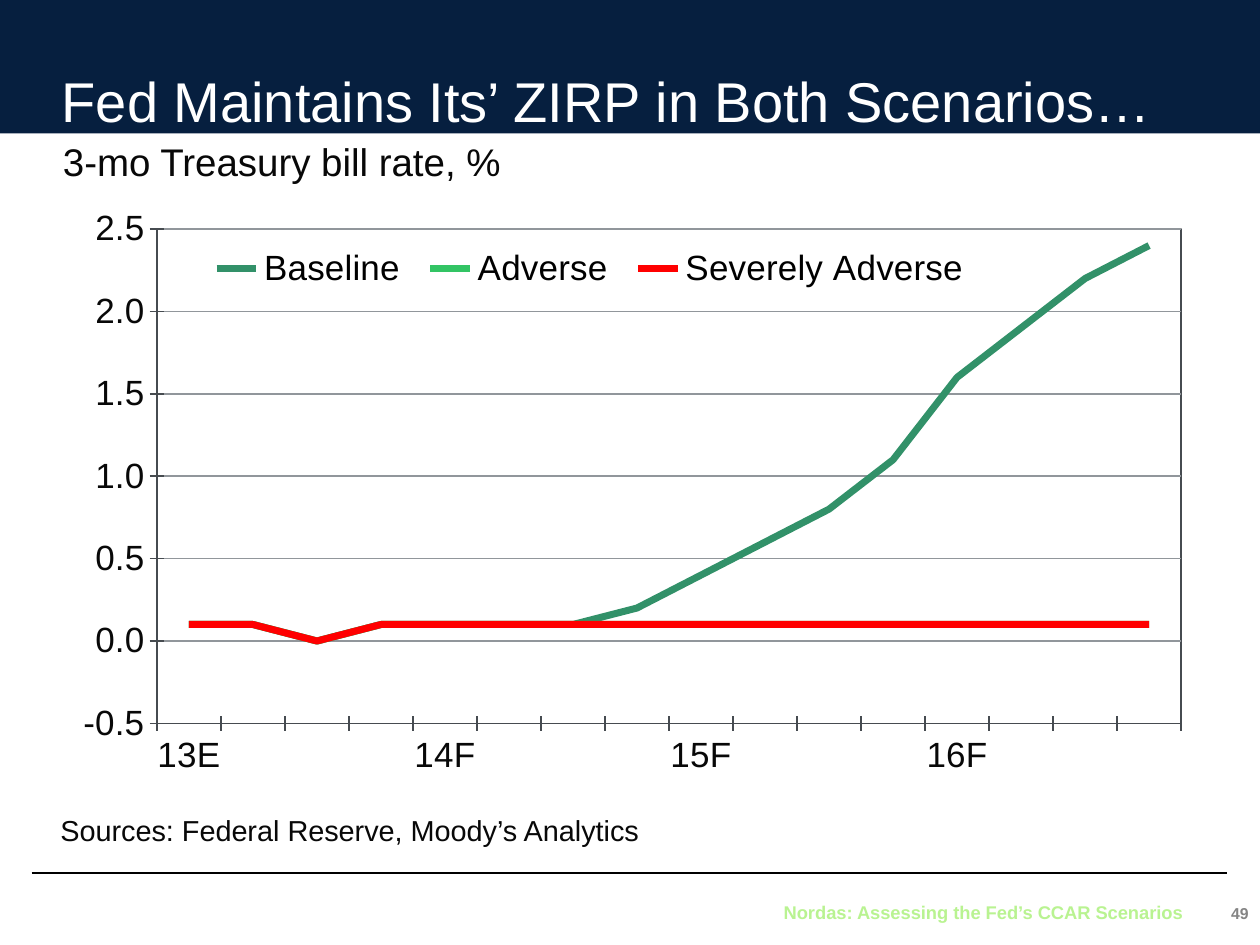
from lxml import etree
from pptx import Presentation
from pptx.chart.data import CategoryChartData
from pptx.dml.color import RGBColor
from pptx.enum.chart import (XL_AXIS_CROSSES, XL_CHART_TYPE, XL_LEGEND_POSITION,
                             XL_TICK_LABEL_POSITION, XL_TICK_MARK)
from pptx.enum.shapes import MSO_CONNECTOR, MSO_SHAPE
from pptx.enum.text import MSO_ANCHOR, PP_ALIGN
from pptx.oxml import parse_xml
from pptx.oxml.ns import nsdecls, qn
from pptx.util import Inches, Pt

TOP, BOTTOM = MSO_ANCHOR.TOP, MSO_ANCHOR.BOTTOM
LEFT, RIGHT = PP_ALIGN.LEFT, PP_ALIGN.RIGHT
CROSS = XL_TICK_MARK.CROSS

FONT = "Arial"
COLORS = {
    "banner": "061F3F", "white": "FFFFFF", "black": "000000", "text": "080808",
    "axis": "464B50", "grid": "91969B", "footer": "B9F391", "number": "848484",
    "baseline": "329169", "adverse": "32C464", "severe": "FF0000",
}
YEARS = ["13E", "14F", "15F", "16F"]
FLAT_RATES = [0.1, 0.1, 0] + [0.1] * 13
SERIES = [
    ("Baseline", "baseline",
     FLAT_RATES[:7] + [0.2, 0.4, 0.6, 0.8, 1.1, 1.6, 1.9, 2.2, 2.4]),
    ("Adverse", "adverse", FLAT_RATES),
    ("Severely Adverse", "severe", FLAT_RATES),
]


def color(name):
    return RGBColor.from_string(COLORS[name])


def format_font(font, size, color_name, bold=False):
    font.name = FONT
    font.size = Pt(size)
    font.bold = bold
    font.color.rgb = color(color_name)


def format_line(line, color_name, width=1):
    line.color.rgb = color(color_name)
    line.width = Pt(width)


def add_text(slide, text, box, size, color_name="text", bold=False,
             align=LEFT, anchor=TOP, spacing=0.9):
    shape = slide.shapes.add_textbox(*map(Inches, box))
    frame = shape.text_frame
    frame.word_wrap = True
    frame.vertical_anchor = anchor
    frame.margin_left = frame.margin_right = 0
    frame.margin_top = frame.margin_bottom = 0
    paragraph = frame.paragraphs[0]
    paragraph.alignment = align
    paragraph.line_spacing = spacing
    run = paragraph.add_run()
    run.text = text
    format_font(run.font, size, color_name, bold)


def add_banner(slide):
    shape = slide.shapes.add_shape(MSO_SHAPE.RECTANGLE, 0, 0, Inches(10), Inches(1.06))
    shape.shadow.inherit = False
    shape.fill.solid()
    shape.fill.fore_color.rgb = color("banner")
    shape.line.fill.background()


def add_rule(slide):
    connector = slide.shapes.add_connector(
        MSO_CONNECTOR.STRAIGHT, Inches(0.25), Inches(6.93), Inches(9.74), Inches(6.93))
    format_line(connector.line, "black")
    etree.SubElement(connector._element.spPr, qn("a:effectLst"))


def set_layout(element, index, x, y, width, height, inner=False):
    """Place a chart part by fractions of the chart's size."""
    for old in element.findall(qn("c:layout")):
        element.remove(old)
    target = '<c:layoutTarget val="inner"/>' if inner else ""
    element.insert(index, parse_xml(
        f'<c:layout {nsdecls("c")}><c:manualLayout>{target}'
        '<c:xMode val="edge"/><c:yMode val="edge"/>'
        f'<c:x val="{x}"/><c:y val="{y}"/><c:w val="{width}"/><c:h val="{height}"/>'
        '</c:manualLayout></c:layout>'))


def format_axis(axis):
    axis.major_tick_mark = CROSS
    axis.minor_tick_mark = XL_TICK_MARK.NONE
    format_line(axis.format.line, "axis")
    format_font(axis.tick_labels.font, 20, "text")


def format_plot_area(chart):
    plot_area = chart._chartSpace.chart.plotArea
    set_layout(plot_area, 0, 0.105, 0.073, 0.875, 0.777, inner=True)
    plot_area.append(parse_xml(
        f'<c:spPr {nsdecls("c", "a")}>'
        f'<a:solidFill><a:srgbClr val="{COLORS["white"]}"/></a:solidFill>'
        f'<a:ln w="{Pt(1)}"><a:solidFill><a:srgbClr val="{COLORS["axis"]}"/>'
        '</a:solidFill></a:ln></c:spPr>'))


def add_rate_chart(slide):
    data = CategoryChartData(number_format="0.00")
    data.categories = [label for year in YEARS for label in (year, "", "", "")]
    for name, _, rates in SERIES:
        data.add_series(name, rates)
    chart = slide.shapes.add_chart(
        XL_CHART_TYPE.LINE, Inches(0.27), Inches(1.45), Inches(9.29), Inches(5.05),
        data).chart
    chart.has_title = False
    format_font(chart.font, 10, "black")

    chart.plots[0].vary_by_categories = False
    for series, (_, color_name, _) in zip(chart.plots[0].series, SERIES):
        series.smooth = False
        format_line(series.format.line, color_name, 4)

    format_axis(chart.category_axis)
    chart.category_axis.tick_label_position = XL_TICK_LABEL_POSITION.LOW
    value_axis = chart.value_axis
    format_axis(value_axis)
    value_axis.minimum_scale, value_axis.maximum_scale = -0.5, 2.5
    value_axis.major_unit = 0.5
    value_axis.crosses = XL_AXIS_CROSSES.MINIMUM
    value_axis.tick_labels.number_format = "#,##0.0"
    value_axis.tick_labels.number_format_is_linked = False
    value_axis.has_major_gridlines = True
    format_line(value_axis.major_gridlines.format.line, "grid")
    format_plot_area(chart)

    chart.has_legend = True
    legend = chart.legend
    legend.position = XL_LEGEND_POSITION.BOTTOM
    legend.include_in_layout = False
    format_font(legend.font, 20, "black")
    set_layout(legend._element, 1, 0.14, 0.09, 0.67, 0.09)


def main():
    presentation = Presentation()
    presentation.slide_width = Inches(10)
    presentation.slide_height = Inches(7.5)
    slide = presentation.slides.add_slide(presentation.slide_layouts[6])

    add_banner(slide)
    add_rule(slide)
    add_text(slide, "49", (4.96, 7.19, 4.95, 0.18), 9, "number", bold=True, align=RIGHT)
    add_rate_chart(slide)
    add_text(slide, "Fed Maintains Its’ ZIRP in Both Scenarios…",
             (0.49, 0.67, 9, 0.4), 32, "white", anchor=BOTTOM)
    add_text(slide, "Sources: Federal Reserve, Moody’s Analytics",
             (0.48, 6.45, 9.08, 0.28), 16.5, anchor=BOTTOM)
    add_text(slide, "3-mo Treasury bill rate, %", (0.5, 1.14, 9, 0.52), 22)
    add_text(slide, "Nordas: Assessing the Fed’s CCAR Scenarios",
             (6.22, 7.18, 3.62, 0.21), 10.5, "footer", bold=True, spacing=0.85)

    presentation.save("out.pptx")


if __name__ == "__main__":
    main()
